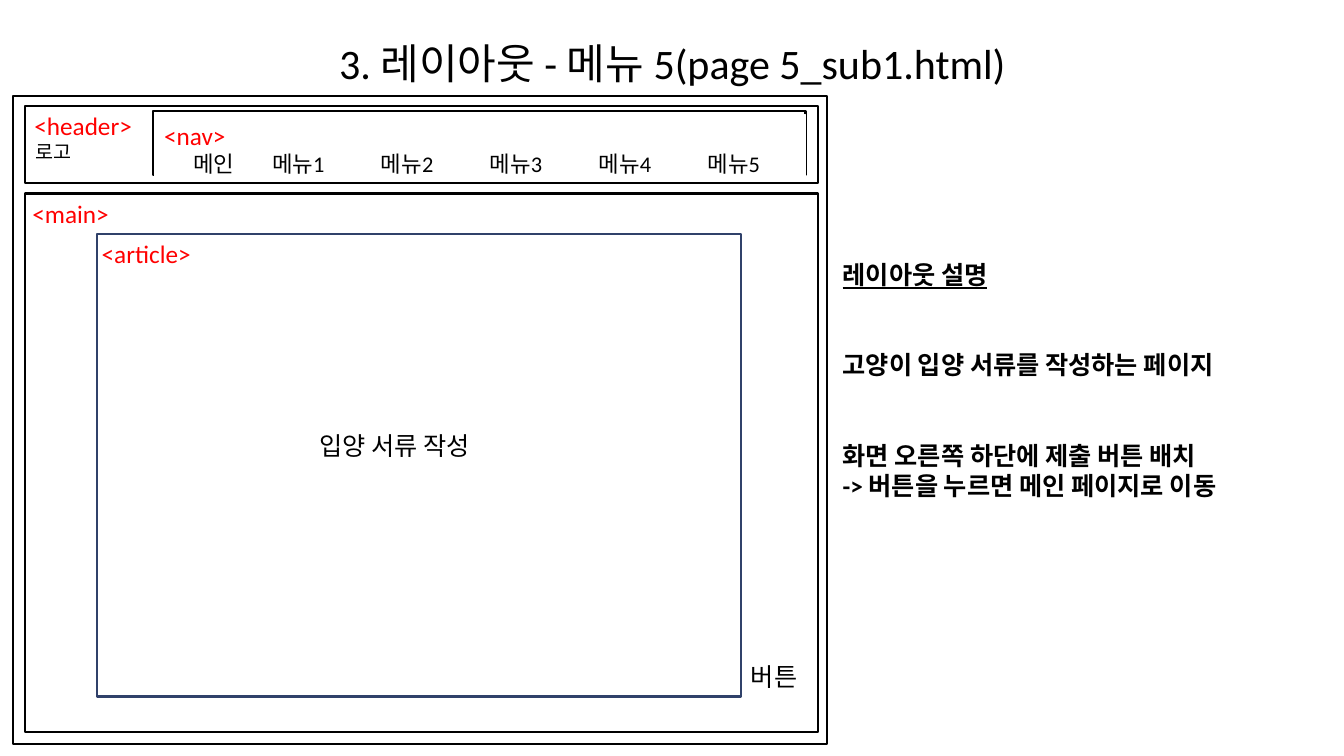
from pptx import Presentation
from pptx.dml.color import RGBColor
from pptx.enum.shapes import MSO_SHAPE
from pptx.enum.text import MSO_ANCHOR, PP_ALIGN
from pptx.oxml.ns import qn
from pptx.util import Inches, Pt
from lxml.etree import SubElement

COLORS = {"black": "000000", "white": "FFFFFF", "red": "FF0000", "navy": "30416A"}
FONT = "Calibri"

TITLE = "3. 레이아웃 - 메뉴 5(page 5_sub1.html)"

# Wireframe frames, back to front: left, top, width, height, line colour, line width
FRAMES = {
    "page": (0.13, 0.95, 8.07, 6.43, "black", 1.5),
    "header": (0.25, 1.05, 7.86, 0.77, "black", 1.5),
    "main": (0.25, 1.92, 7.86, 5.34, "black", 1.5),
    "article": (0.96, 2.32, 6.39, 4.59, "navy", 1.5),
    "nav border": (1.52, 1.1, 6.47, 0.64, "black", 1.5),
    "nav": (1.53, 1.14, 6.46, 0.65, "white", 0.75),
}

# Tag labels: text, left, top, width
TAGS = [
    ("<header>", 0.13, 1.05, 1.39),
    ("<main>", 0, 1.92, 1.4),
    ("<article>", 0.75, 2.32, 1.4),
]

# Plain labels: text, left, top, width, size
LABELS = [
    ("로고", 0.25, 1.34, 1.2, 14),
    ("입양 서류 작성", 3.07, 4.22, 3.36, 18),
    ("버튼", 7.35, 6.51, 0.8, 18),
]

NAV_TAG = "<nav>"
MENU = ["메인", "메뉴1", "메뉴2", "메뉴3", "메뉴4", "메뉴5"]
MENU_START, MENU_SECOND, MENU_STEP = 0.29, 1.07, 1.08

# Explanation: text, space before in points, underlined
NOTES = [
    ("레이아웃 설명", 0, True),
    ("고양이 입양 서류를 작성하는 페이지", 43.2, False),
    ("화면 오른쪽 하단에 제출 버튼 배치", 43.2, False),
    ("-> 버튼을 누르면 메인 페이지로 이동", 0, False),
]


def rgb(name):
    return RGBColor.from_string(COLORS[name])


def style(para, size, color="black", align=PP_ALIGN.LEFT):
    para.alignment = align
    para.font.name = FONT
    para.font.size = Pt(size)
    para.font.color.rgb = rgb(color)


def add_frame(page, left, top, width, height, line, weight):
    box = page.shapes.add_shape(
        MSO_SHAPE.RECTANGLE, Inches(left), Inches(top), Inches(width), Inches(height))
    box.shadow.inherit = False
    box.fill.solid()
    box.fill.fore_color.rgb = rgb("white")
    box.line.color.rgb = rgb(line)
    box.line.width = Pt(weight)
    return box


def add_text(page, text, left, top, width, height, size, **looks):
    box = page.shapes.add_textbox(
        Inches(left), Inches(top), Inches(width), Inches(height))
    box.text_frame.word_wrap = True
    para = box.text_frame.paragraphs[0]
    para.text = text
    style(para, size, **looks)
    return box


def set_tabs(para, stops):
    tab_list = SubElement(para._p.get_or_add_pPr(), qn("a:tabLst"))
    for stop in stops:
        SubElement(tab_list, qn("a:tab"), pos=str(Inches(stop)), algn="l")


def fill_nav(box):
    frame = box.text_frame
    frame.vertical_anchor = MSO_ANCHOR.TOP
    tag = frame.paragraphs[0]
    tag.text = NAV_TAG
    style(tag, 18, "red")
    menu = frame.add_paragraph()
    menu.text = "".join("\t" + item for item in MENU)
    set_tabs(menu, [MENU_START] + [MENU_SECOND + MENU_STEP * i for i in range(len(MENU) - 1)])
    style(menu, 16)


def add_notes(page):
    box = page.shapes.add_textbox(Inches(8.26), Inches(2.52), Inches(4.9), Inches(3.7))
    frame = box.text_frame
    frame.word_wrap = True
    for index, (text, gap, underlined) in enumerate(NOTES):
        para = frame.add_paragraph() if index else frame.paragraphs[0]
        para.text = text
        para.space_before = Pt(gap)
        style(para, 18)
        para.font.bold = True
        para.font.underline = underlined


def main():
    deck = Presentation()
    deck.slide_width, deck.slide_height = Inches(13.33), Inches(7.5)
    page = deck.slides.add_slide(deck.slide_layouts[6])

    # Title
    title = add_text(page, TITLE, 0.67, 0, 12, 1.25, 30, align=PP_ALIGN.CENTER)
    title.text_frame.vertical_anchor = MSO_ANCHOR.MIDDLE

    # Wireframe
    frames = {name: add_frame(page, *values) for name, values in FRAMES.items()}
    fill_nav(frames["nav"])

    # Labels
    for text, left, top, width in TAGS:
        add_text(page, text, left, top, width, 0.4, 18, color="red", align=PP_ALIGN.CENTER)
    for text, left, top, width, size in LABELS:
        add_text(page, text, left, top, width, 0.4, size)

    # Explanation
    add_notes(page)
    deck.save("out.pptx")


if __name__ == "__main__":
    main()
